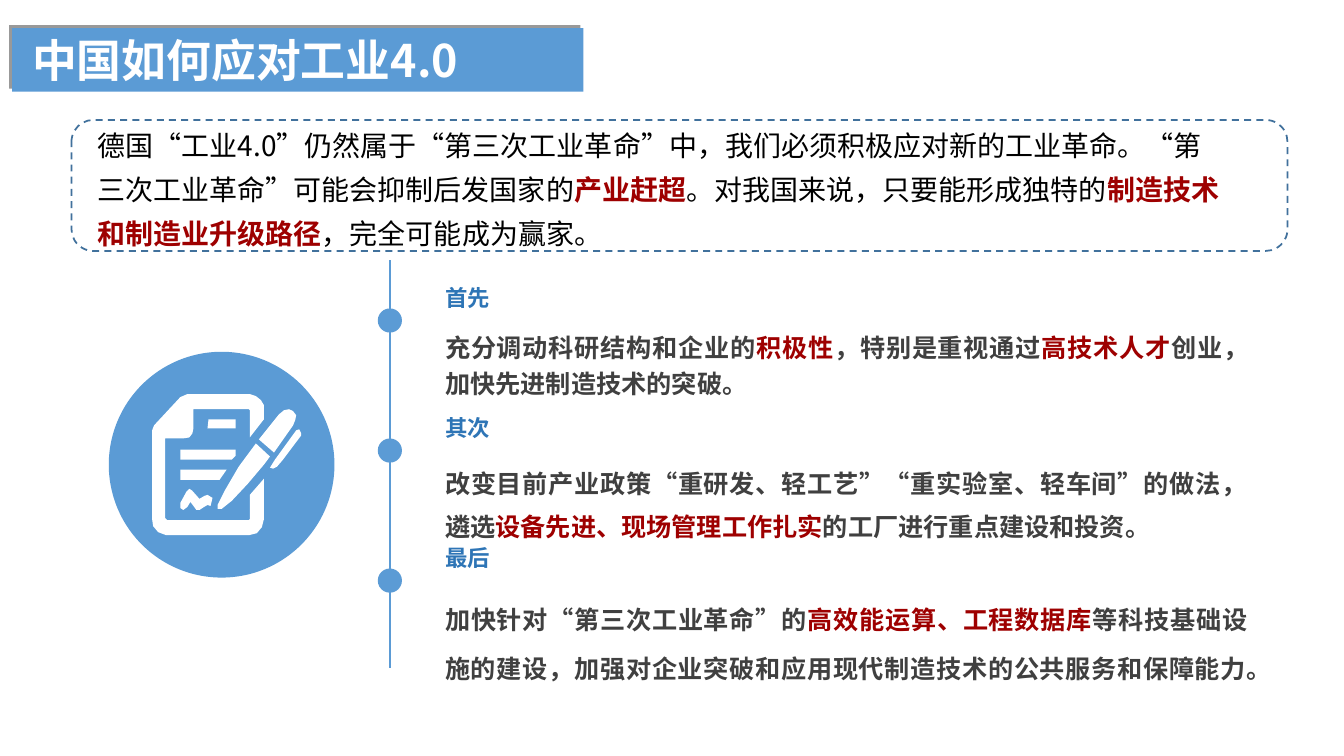
from dataclasses import dataclass

from lxml import etree
from pptx import Presentation
from pptx.dml.color import RGBColor
from pptx.enum.dml import MSO_LINE
from pptx.enum.lang import MSO_LANGUAGE_ID
from pptx.enum.shapes import MSO_CONNECTOR, MSO_SHAPE
from pptx.enum.text import PP_ALIGN
from pptx.oxml.ns import qn
from pptx.util import Inches, Pt

RECTANGLE = MSO_SHAPE.RECTANGLE
ROUNDED = MSO_SHAPE.ROUNDED_RECTANGLE
OVAL = MSO_SHAPE.OVAL
STRAIGHT = MSO_CONNECTOR.STRAIGHT
DASH = MSO_LINE.DASH
JUSTIFY = PP_ALIGN.JUSTIFY
LEFT = PP_ALIGN.LEFT
CHINESE = MSO_LANGUAGE_ID.SIMPLIFIED_CHINESE


@dataclass(frozen=True)
class Theme:
    font: str = "Noto Sans CJK SC"
    blue: str = "5B9BD5"
    border: str = "41719C"
    heading: str = "2E75B6"
    body: str = "404040"
    accent: str = "9E0000"
    black: str = "000000"
    white: str = "FFFFFF"
    title_size: int = 32
    intro_size: int = 20
    body_size: int = 18
    heading_size: int = 16


THEME = Theme()

# Contours of the document-and-pen icon, in hundredths of an inch on the slide.
ICON_CONTOURS = [
    # page frame, open where the pen crosses it
    [(186, 391), (248, 391), (254, 393), (259, 397), (262, 402), (262, 416), (248, 434),
     (248, 407), (247, 406), (192, 406), (192, 425), (191, 430), (188, 434), (182, 435),
     (164, 435), (164, 514), (166, 516), (247, 516), (248, 515), (248, 491), (262, 475),
     (262, 515), (260, 523), (255, 529), (247, 531), (165, 531), (157, 528), (152, 522),
     (151, 515), (151, 427), (153, 422), (179, 394)],
    # text lines
    [(207, 416), (234, 416), (234, 425), (206, 425)],
    [(179, 446), (234, 446), (234, 452), (230, 456), (179, 456)],
    [(179, 466), (225, 466), (218, 476), (179, 476)],
    # signature
    [(188, 485), (191, 487), (198, 495), (203, 492), (206, 491), (211, 494), (209, 502),
     (206, 501), (201, 504), (198, 506), (195, 506), (189, 498), (186, 503), (182, 506),
     (179, 504), (179, 499), (185, 488)],
    # nib, clip and barrel of the pen
    [(254, 440), (268, 453), (262, 461), (246, 480), (230, 497), (220, 505), (216, 505),
     (216, 501), (223, 487), (237, 463)],
    [(297, 426), (299, 430), (299, 432), (281, 456), (275, 463), (271, 465), (268, 464),
     (273, 456), (294, 427)],
    [(287, 406), (291, 408), (294, 412), (293, 417), (291, 422), (272, 449), (257, 436),
     (277, 411), (282, 407)],
]

INTRO = ["德国“工业4.0”仍然属于“第三次工业革命”中，我们必须积极应对新的工业革命。“第三次工业革命”可能会抑制后发国家的",
         "产业赶超", "。对我国来说，只要能形成独特的", "制造技术和制造业升级路径", "，完全可能成为赢家。"]

# heading, width, height and line spacing of the body, alternating plain and accented text
STEPS = [
    ("首先", 7.92, 0.87, 1.2,
     ["充分调动科研结构和企业的", "积极性", "，特别是重视通过", "高技术人才", "创业，加快先进制造技术的突破。"]),
    ("其次", 8.16, 0.87, 1.4,
     ["改变目前产业政策“重研发、轻工艺”“重实验室、轻车间”的做法，遴选",
      "设备先进、现场管理工作扎实", "的工厂进行重点建设和投资。"]),
    ("最后", 8.16, 1.09, 1.6,
     ["加快针对“第三次工业革命”的", "高效能运算、工程数据库",
      "等科技基础设施的建设，加强对企业突破和应用现代制造技术的公共服务和保障能力。"]),
]
STEP_TOP, STEP_PITCH = 2.77, 1.29
AXIS_X, DOT = 3.87, 0.24


class SlideBuilder:
    def __init__(self, slide, theme):
        self.shapes = slide.shapes
        self.theme = theme

    def shape(self, kind, left, top, width, height, fill=None):
        shape = self.shapes.add_shape(kind, Inches(left), Inches(top), Inches(width), Inches(height))
        self.finish(shape, fill)
        return shape

    def finish(self, shape, fill):
        shape.shadow.inherit = False
        shape.line.fill.background()
        if fill:
            shape.fill.solid()
            shape.fill.fore_color.rgb = RGBColor.from_string(fill)
        else:
            shape.fill.background()

    def hard_shadow(self, shape):
        """Cast an unblurred 40 % black shadow towards the upper left."""
        effects = shape._element.spPr.find(qn("a:effectLst"))
        shadow = etree.SubElement(effects, qn("a:outerShdw"), blurRad="0", dist=str(Pt(3)),
                                  dir=str(225 * 60000), algn="br", rotWithShape="0")
        color = etree.SubElement(shadow, qn("a:srgbClr"), val=self.theme.black)
        etree.SubElement(color, qn("a:alpha"), val="40000")

    def dashed_frame(self, left, top, width, height):
        frame = self.shape(ROUNDED, left, top, width, height)
        frame.adjustments[0] = 0.167
        frame.line.color.rgb = RGBColor.from_string(self.theme.border)
        frame.line.width = Pt(1.25)
        frame.line.dash_style = DASH

    def icon(self, contours, fill):
        first, *others = contours
        builder = self.shapes.build_freeform(*first[0], scale=Inches(0.01))
        builder.add_line_segments(first[1:], close=True)
        for contour in others:
            builder.move_to(*contour[0])
            builder.add_line_segments(contour[1:], close=True)
        self.finish(builder.convert_to_shape(), fill)

    def vertical_line(self, x, top, bottom):
        line = self.shapes.add_connector(STRAIGHT, Inches(x), Inches(top), Inches(x), Inches(bottom))
        line.line.color.rgb = RGBColor.from_string(self.theme.blue)
        line.line.width = Pt(1.5)
        etree.SubElement(line._element.spPr, qn("a:effectLst"))

    def text(self, left, top, width, height, parts, size, color,
             bold=True, spacing=1.0, align=LEFT, inset=0.1):
        """Write one paragraph; every second part is accented."""
        frame = self.shapes.add_textbox(Inches(left), Inches(top), Inches(width), Inches(height)).text_frame
        frame.word_wrap = True
        frame.margin_left = Inches(inset)
        paragraph = frame.paragraphs[0]
        paragraph.alignment = align
        paragraph.line_spacing = spacing
        for index, part in enumerate(parts):
            accented = index % 2 == 1
            run = paragraph.add_run()
            run.text = part
            font = run.font
            font.size = Pt(size)
            font.bold = bold or accented
            font.language_id = CHINESE
            font.color.rgb = RGBColor.from_string(self.theme.accent if accented else color)
            font.name = self.theme.font
            etree.SubElement(run._r.get_or_add_rPr(), qn("a:ea"), typeface=self.theme.font)


def main():
    presentation = Presentation()
    presentation.slide_width = Inches(13.34)
    presentation.slide_height = Inches(7.5)
    slide = SlideBuilder(presentation.slides.add_slide(presentation.slide_layouts[6]), THEME)

    banner = slide.shape(RECTANGLE, 0.12, 0.28, 5.67, 0.63, THEME.blue)
    slide.hard_shadow(banner)
    slide.text(0.12, 0.28, 5.67, 0.64, ["中国如何应对工业4.0"], THEME.title_size, THEME.white, inset=0.2)

    slide.text(0.87, 1.13, 11.37, 1.4, INTRO, THEME.intro_size, THEME.black, bold=False, spacing=1.3)
    slide.dashed_frame(0.71, 1.19, 12.07, 1.3)

    slide.shape(OVAL, 1.08, 3.49, 2.24, 2.24, THEME.blue)
    slide.icon(ICON_CONTOURS, THEME.white)

    slide.vertical_line(AXIS_X, 2.58, 6.63)
    for index, (heading, width, height, spacing, body) in enumerate(STEPS):
        top = STEP_TOP + index * STEP_PITCH
        slide.shape(OVAL, AXIS_X - DOT / 2, top + 0.29, DOT, DOT, THEME.blue)
        slide.text(4.32, top + 0.42, width, height, body, THEME.body_size, THEME.body,
                   spacing=spacing, align=JUSTIFY)
        slide.text(4.32, top, 3.75, 0.4, [heading], THEME.heading_size, THEME.heading)

    presentation.save("out.pptx")


if __name__ == "__main__":
    main()
